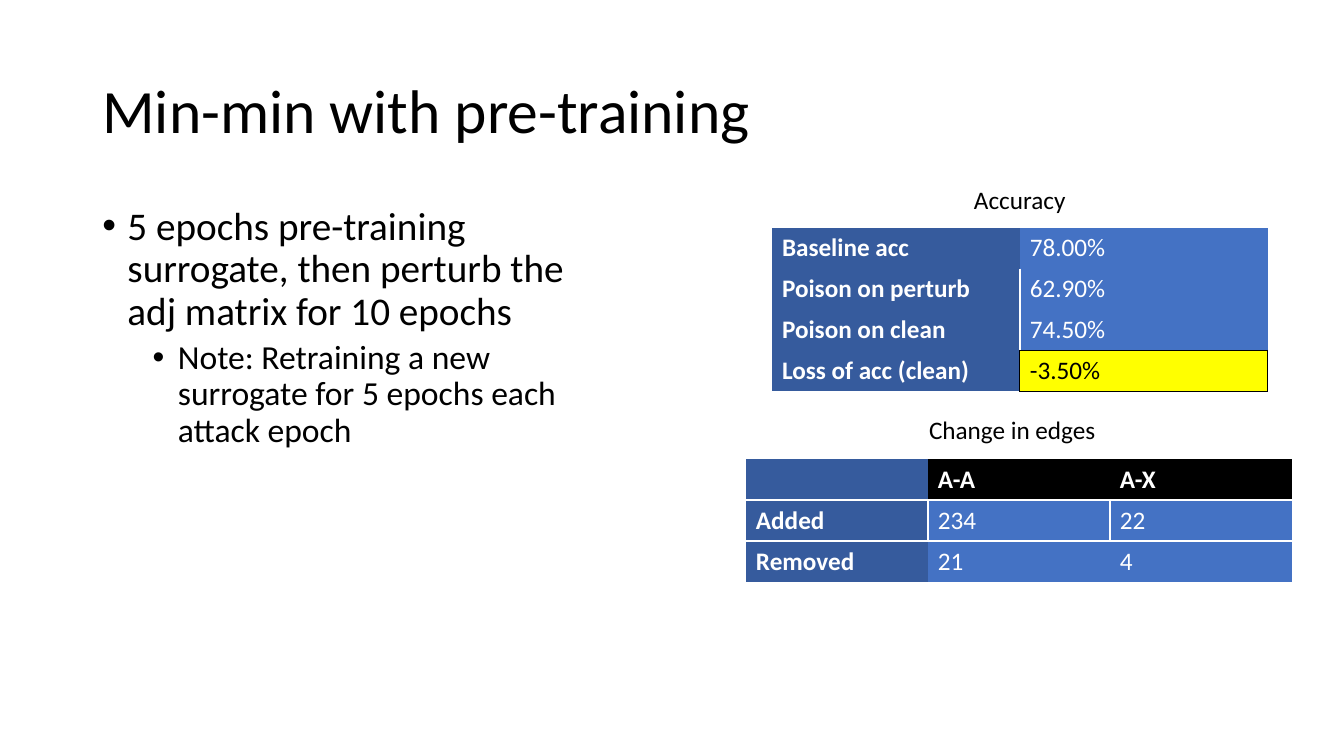
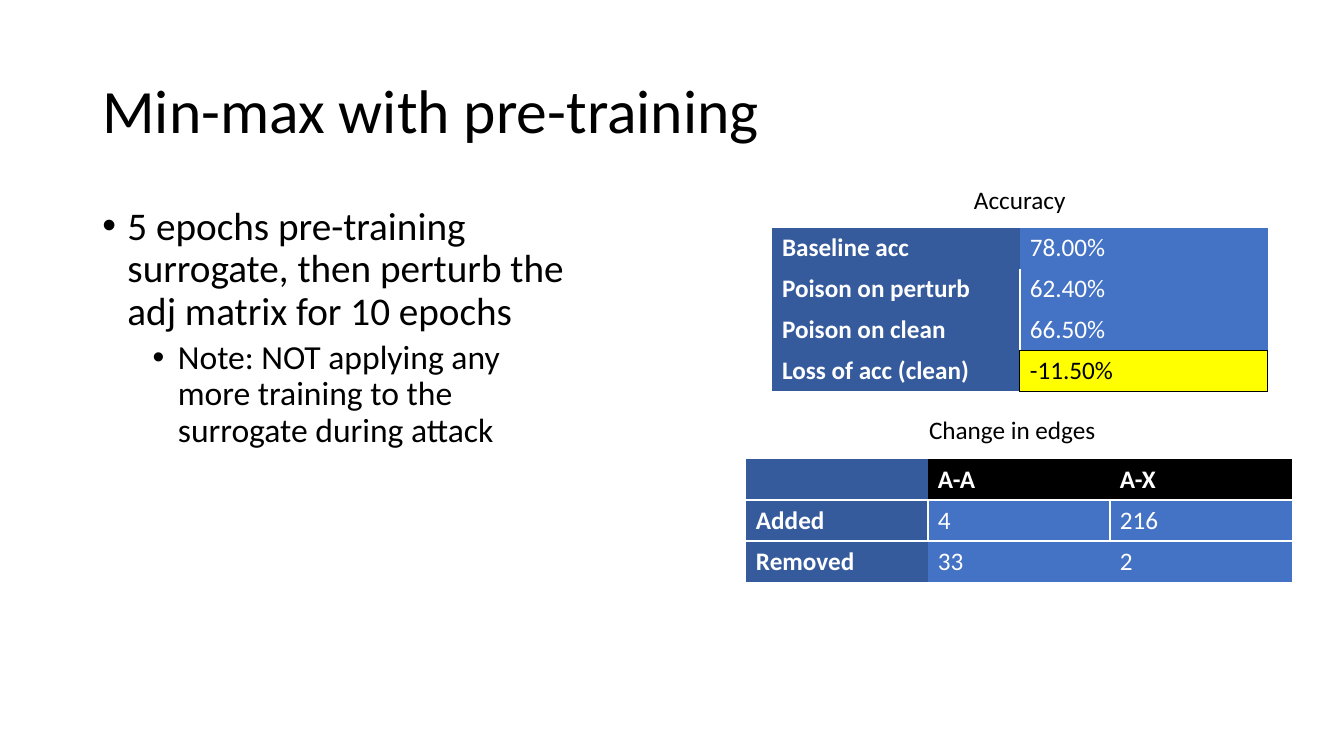
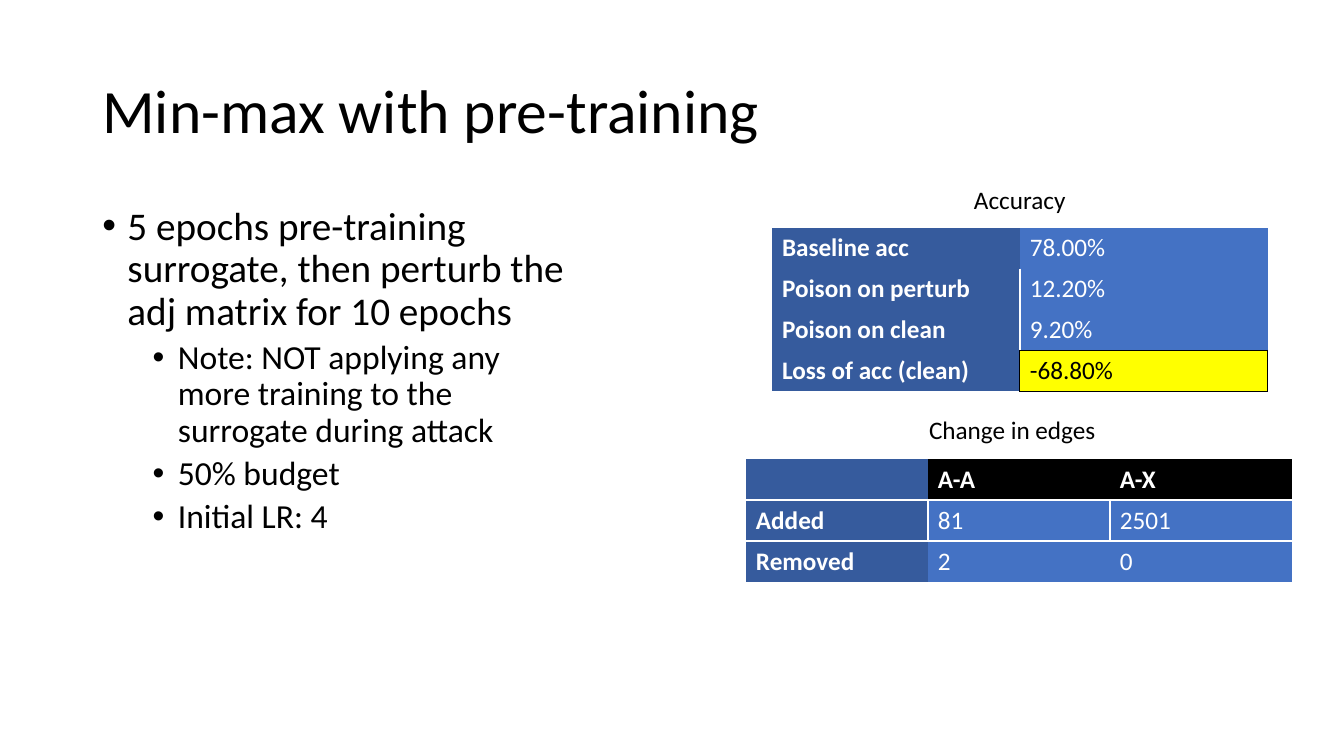
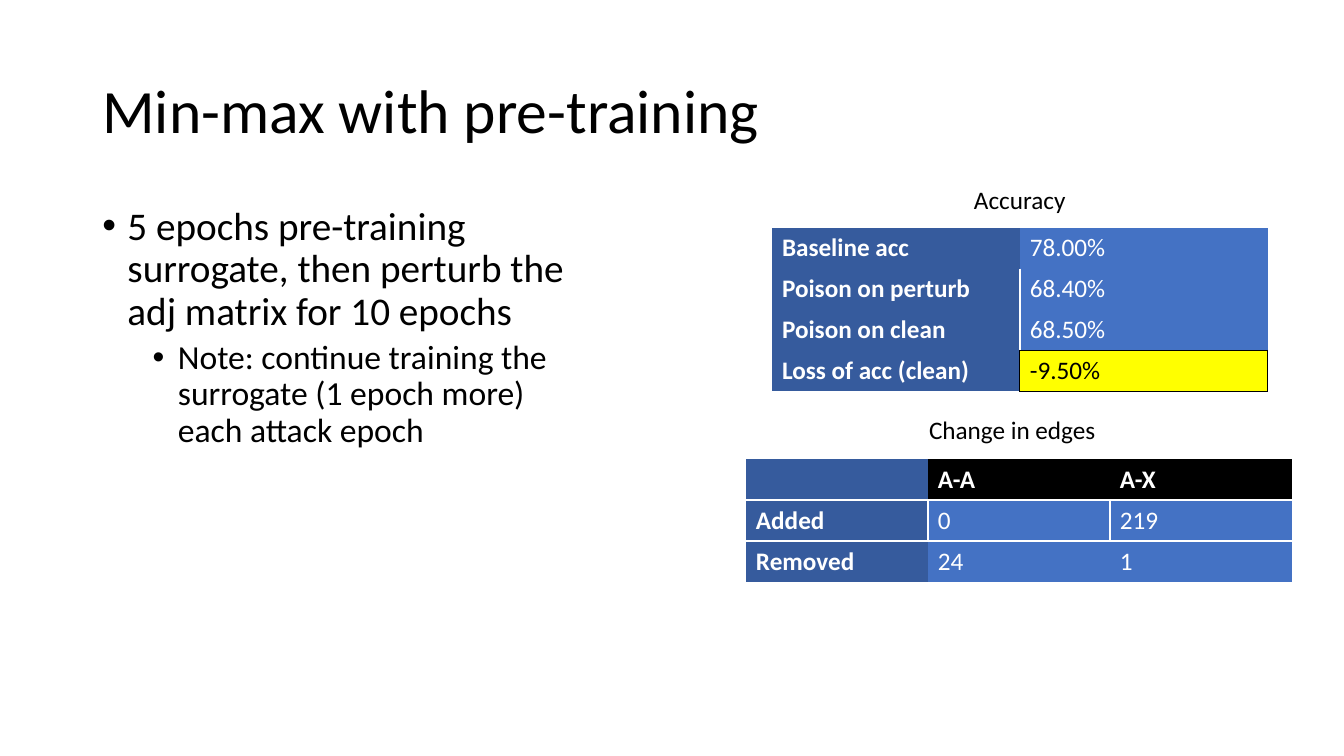
from collections import namedtuple

from lxml import etree
from pptx import Presentation
from pptx.dml.color import RGBColor
from pptx.enum.text import MSO_ANCHOR, PP_ALIGN
from pptx.oxml.ns import qn
from pptx.util import Inches, Pt

MIDDLE, TOP = MSO_ANCHOR.MIDDLE, MSO_ANCHOR.TOP
LEFT, CENTER = PP_ALIGN.LEFT, PP_ALIGN.CENTER

# Grid of 160 columns by 90 rows, in square units
COLUMNS, ROWS = 160, 90
UNIT = Inches(7.5) / ROWS

FONT = "Calibri"
BLACK, WHITE = "000000", "FFFFFF"
BLUE, DARK_BLUE, YELLOW = "4472C4", "365B9D", "FFFF00"
PLAIN_TABLE = "{2D5ABB26-0587-4C30-8999-92F81FD0307C}"

Box = namedtuple("Box", "left top width height")
TITLE = Box(11, 4.8, 138, 17.4)
BODY = Box(11, 24, 59, 57.1)
ACCURACY = Box(91.9, 21.4, 59, 25.2)
EDGES = Box(88.8, 48.7, 65, 20.6)
CAPTION_WIDTH, CAPTION_HEIGHT = 44.8, 4.8
TABLE_ROW = 4.87

BulletLevel = namedtuple("BulletLevel", "size indent space")
BULLETS = [BulletLevel(28, 0.25, 10), BulletLevel(24, 0.75, 5)]

PRETRAINING = "5 epochs pre-training surrogate, then perturb the adj matrix for 10 epochs"
FROZEN = "Note: NOT applying any more training to the surrogate during attack"
ACCURACY_LABELS = ["Baseline acc", "Poison on perturb", "Poison on clean", "Loss of acc (clean)"]

# Title, notes, accuracy values, added edges, removed edges
RESULTS = [
    ("Min-min with pre-training",
     ["Note: Retraining a new surrogate for 5 epochs each attack epoch"],
     ["78.00%", "62.90%", "74.50%", "-3.50%"], ["234", "22"], ["21", "4"]),
    ("Min-max with pre-training", [FROZEN],
     ["78.00%", "62.40%", "66.50%", "-11.50%"], ["4", "216"], ["33", "2"]),
    ("Min-max with pre-training", [FROZEN, "50% budget", "Initial LR: 4"],
     ["78.00%", "12.20%", "9.20%", "-68.80%"], ["81", "2501"], ["2", "0"]),
    ("Min-max with pre-training",
     ["Note: continue training the surrogate (1 epoch more) each attack epoch"],
     ["78.00%", "68.40%", "68.50%", "-9.50%"], ["0", "219"], ["24", "1"]),
]


def color(hex_string):
    return RGBColor.from_string(hex_string)


def units(*lengths):
    return [round(length * UNIT) for length in lengths]


def style(para, size, ink=BLACK, bold=False, align=LEFT):
    para.alignment = align
    para.font.name = FONT
    para.font.size = Pt(size)
    para.font.bold = bold
    para.font.color.rgb = color(ink)


def add_text(page, box, anchor=TOP):
    frame = page.shapes.add_textbox(*units(*box)).text_frame
    frame.word_wrap = True
    frame.vertical_anchor = anchor
    return frame


def add_title(page, box, text):
    para = add_text(page, box, MIDDLE).paragraphs[0]
    para.text = text
    para.line_spacing = 0.9
    style(para, 44)


def add_bullets(page, box, items):
    frame = add_text(page, box)
    for index, (depth, text) in enumerate(items):
        para = frame.add_paragraph() if index else frame.paragraphs[0]
        level = BULLETS[depth]
        para.text = text
        para.level = depth
        para.line_spacing = 0.9
        para.space_before = Pt(level.space)
        style(para, level.size)
        # Hanging bullet
        props = para._p.get_or_add_pPr()
        props.set("marL", str(Inches(level.indent)))
        props.set("indent", str(-Inches(0.25)))
        etree.SubElement(props, qn("a:buFont")).set("typeface", "Arial")
        etree.SubElement(props, qn("a:buChar")).set("char", "•")


def set_borders(cell, borders):
    """borders maps the sides L, R, T, B to (colour, points)."""
    props = cell._tc.get_or_add_tcPr()
    for side in "LRTB":
        if side in borders:
            ink, width = borders[side]
            line = etree.SubElement(props, qn("a:ln" + side), w=str(Pt(width)))
            fill = etree.SubElement(line, qn("a:solidFill"))
            etree.SubElement(fill, qn("a:srgbClr")).set("val", ink)


def add_panel(page, box, caption, rows, fills, borders, header=False, shift=0):
    """Caption at the top of the box, table along its bottom."""
    caption_left = box.left + (box.width - CAPTION_WIDTH) / 2 + shift
    para = add_text(page, Box(caption_left, box.top, CAPTION_WIDTH, CAPTION_HEIGHT)).paragraphs[0]
    para.text = caption
    style(para, 18, align=CENTER)

    height = TABLE_ROW * len(rows)
    place = units(box.left, box.top + box.height - height, box.width, height)
    table = page.shapes.add_table(len(rows), len(rows[0]), *place).table
    table.first_row = table.horz_banding = False
    table._tbl.tblPr.find(qn("a:tableStyleId")).text = PLAIN_TABLE
    for row, texts in enumerate(rows):
        for column, text in enumerate(texts):
            cell = table.cell(row, column)
            fill = fills.get((row, column), BLUE if column else DARK_BLUE)
            set_borders(cell, borders.get((row, column), {}))
            cell.fill.solid()
            cell.fill.fore_color.rgb = color(fill)
            para = cell.text_frame.paragraphs[0]
            para.text = text
            style(para, 18, BLACK if fill == YELLOW else WHITE,
                  bold=column == 0 or (header and row == 0))


def add_accuracy(page, box, values):
    white, black = (WHITE, 2), (BLACK, 1)
    borders = {
        (1, 0): {"R": white}, (1, 1): {"L": white},
        (2, 0): {"R": white}, (2, 1): {"L": white, "B": black},
        (3, 0): {"R": black}, (3, 1): dict.fromkeys("LRTB", black),
    }
    add_panel(page, box, "Accuracy", list(zip(ACCURACY_LABELS, values)),
              {(3, 1): YELLOW}, borders)


def add_edges(page, box, added, removed):
    white = (WHITE, 2)
    borders = {(0, column): {"B": white} for column in range(3)}
    borders.update({(1, column): {"T": white} for column in range(3)})
    borders[1, 0]["R"] = borders[1, 1]["L"] = white
    rows = [["", "A-A", "A-X"], ["Added", *added], ["Removed", *removed]]
    add_panel(page, box, "Change in edges", rows, {(0, 1): BLACK, (0, 2): BLACK},
              borders, header=True, shift=-0.8)


def add_result_slide(deck, title, notes, accuracy, added, removed):
    page = deck.slides.add_slide(deck.slide_layouts[6])
    add_edges(page, EDGES, added, removed)
    add_accuracy(page, ACCURACY, accuracy)
    add_title(page, TITLE, title)
    add_bullets(page, BODY, [(0, PRETRAINING)] + [(1, note) for note in notes])


def main():
    deck = Presentation()
    deck.slide_width, deck.slide_height = units(COLUMNS, ROWS)
    for result in RESULTS:
        add_result_slide(deck, *result)
    deck.save("out.pptx")


if __name__ == "__main__":
    main()
